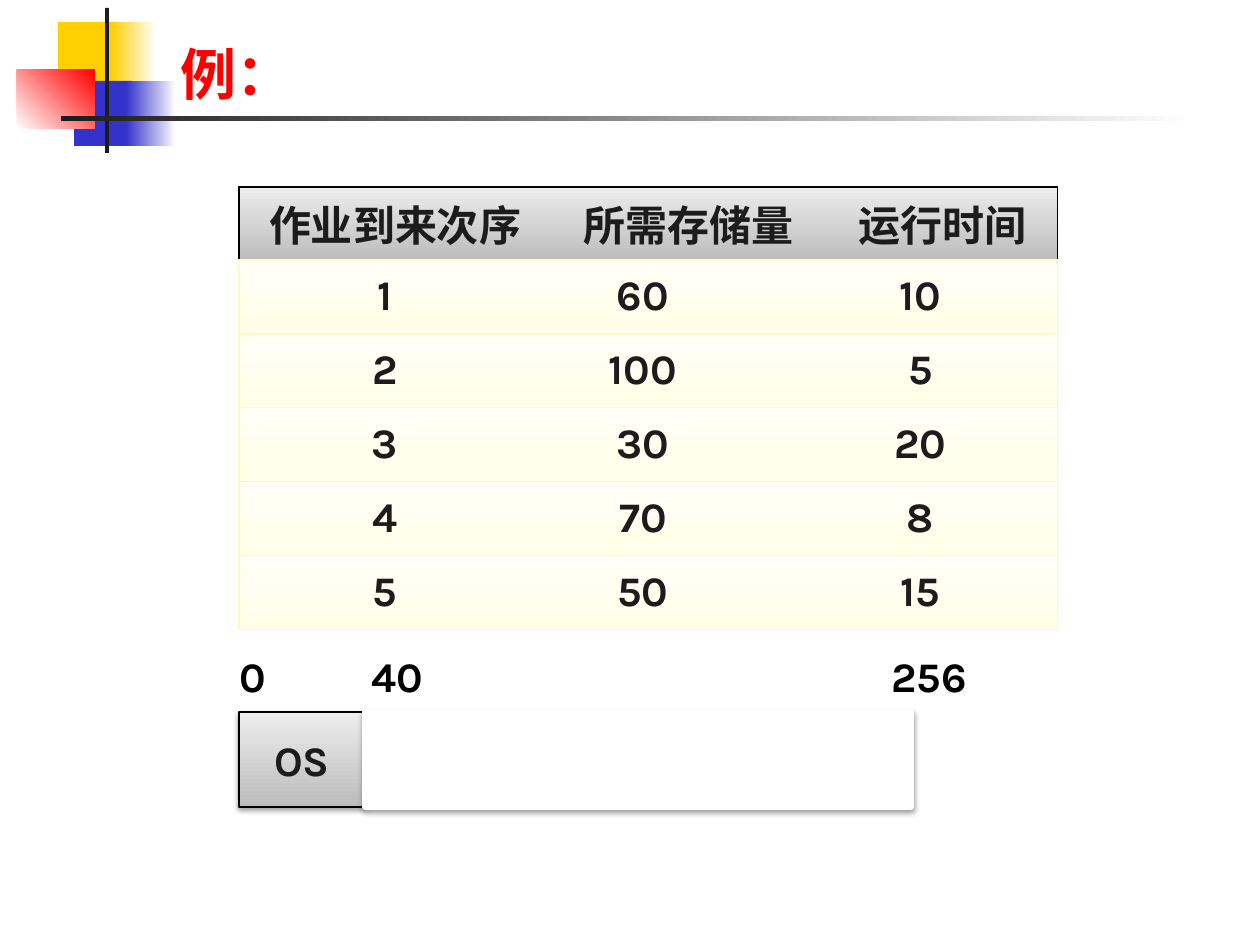
from lxml import etree
from pptx import Presentation
from pptx.dml.color import RGBColor
from pptx.enum.shapes import MSO_SHAPE
from pptx.enum.text import MSO_ANCHOR, PP_ALIGN
from pptx.oxml.ns import qn
from pptx.util import Emu, Pt

RECTANGLE = MSO_SHAPE.RECTANGLE
MIDDLE, TOP = MSO_ANCHOR.MIDDLE, MSO_ANCHOR.TOP
CENTER, LEFT = PP_ALIGN.CENTER, PP_ALIGN.LEFT
EMU_PER_PIXEL = 914400 / 126
LATIN_FONT, CHINESE_FONT = "Karla", "Noto Sans CJK SC"
COLORS = {
    "black": "000000", "white": "FFFFFF", "ink": "1C1C1C",
    "yellow": "FFCF01", "blue": "3333CC", "red": "FF0000",
    "gray dark": "BCBCBC", "gray light": "EDEDED",
    "cream dark": "FFFFE7", "cream light": "FFFFF8", "cream edge": "FBFBC6",
}
DECORATION = [
    ((58, 22, 60, 66), ("yellow",), 0),
    ((111, 22, 45, 66), ("yellow", "white"), 0),
    ((74, 81, 58, 65), ("blue",), 0),
    ((126, 81, 50, 65), ("blue", "white"), 0),
    ((17, 70, 78, 59), ("white", "red"), 45),
    ((105, 8, 4, 145), ("ink",), 0),
    ((61, 116, 1134, 5), ("ink", "white"), 0),
]
JOBS = [
    ("作业到来次序", "所需存储量", "运行时间"),
    (1, 60, 10),
    (2, 100, 5),
    (3, 30, 20),
    (4, 70, 8),
    (5, 50, 15),
]
COLUMN_WIDTHS = (312, 276, 231)
NUMBER_MARGINS = (20, 92, 44)
HEADER_HEIGHT, ROW_HEIGHT = 73, 74
ADDRESSES = [(0, 227), (40, 359), (256, 879)]


def px(length):
    """Turn pixels into EMU."""
    return Emu(round(length * EMU_PER_PIXEL))


def rgb(name):
    """Look up a colour by name."""
    return RGBColor.from_string(COLORS[name])


def paint(fill, names, angle=0):
    """Fill with one colour, or with a gradient between two."""
    if len(names) == 1:
        fill.solid()
        fill.fore_color.rgb = rgb(names[0])
        return
    fill.gradient()
    fill.gradient_angle = angle
    for stop, name in zip(fill.gradient_stops, names):
        stop.color.rgb = rgb(name)


def write(text_frame, text, color="ink", size=24, font_name=LATIN_FONT, alignment=CENTER):
    """Write one bold paragraph."""
    text_frame.text = str(text)
    paragraph = text_frame.paragraphs[0]
    paragraph.alignment = alignment
    font = paragraph.font
    font.size, font.bold, font.name = Pt(size), True, font_name
    font.color.rgb = rgb(color)
    defaults = paragraph._p.get_or_add_pPr().get_or_add_defRPr()
    etree.SubElement(defaults, qn("a:ea"), typeface=CHINESE_FONT)


def add_rectangle(slide, box, colors, angle=0, line=None, line_width=0.75):
    """Add a rectangle without shadow."""
    shape = slide.shapes.add_shape(RECTANGLE, *map(px, box))
    shape.shadow.inherit = False
    paint(shape.fill, colors, angle)
    if line:
        shape.line.color.rgb = rgb(line)
        shape.line.width = Pt(line_width)
    else:
        shape.line.fill.background()
    return shape


def add_shadow(shape):
    """Give a shape a soft shadow below it."""
    effects = shape._element.spPr.find(qn("a:effectLst"))
    shadow = etree.SubElement(
        effects, qn("a:outerShdw"), blurRad=str(Pt(3.1)), dist=str(Pt(1.6)),
        dir="5400000", rotWithShape="0")
    color = etree.SubElement(shadow, qn("a:srgbClr"), val=COLORS["black"])
    etree.SubElement(color, qn("a:alpha"), val="38000")


def set_borders(cell, left, right, top, bottom):
    """Draw the four cell borders, where None means no line."""
    properties = cell._tc.get_or_add_tcPr()
    for side, name in zip("LRTB", (left, right, top, bottom)):
        border = etree.SubElement(properties, qn(f"a:ln{side}"), w=str(Pt(0.75)))
        if name:
            fill = etree.SubElement(border, qn("a:solidFill"))
            etree.SubElement(fill, qn("a:srgbClr"), val=COLORS[name])
        else:
            etree.SubElement(border, qn("a:noFill"))


def add_job_table(slide, left, top):
    """Add the table of jobs with their memory and run time."""
    heights = [HEADER_HEIGHT] + [ROW_HEIGHT] * (len(JOBS) - 1)
    box = (left, top, sum(COLUMN_WIDTHS), sum(heights))
    table = slide.shapes.add_table(len(JOBS), len(COLUMN_WIDTHS), *map(px, box)).table
    table.first_row = table.horz_banding = False
    for column, width in zip(table.columns, COLUMN_WIDTHS):
        column.width = px(width)
    last = len(COLUMN_WIDTHS) - 1
    for row_index, (job, height) in enumerate(zip(JOBS, heights)):
        table.rows[row_index].height = px(height)
        is_header = row_index == 0
        edge = "black" if is_header else "cream edge"
        tone = "gray" if is_header else "cream"
        for column_index, value in enumerate(job):
            cell = table.cell(row_index, column_index)
            cell.margin_left = cell.margin_top = cell.margin_bottom = 0
            cell.margin_right = 0 if is_header else px(NUMBER_MARGINS[column_index])
            cell.vertical_anchor = MIDDLE
            set_borders(cell, edge if column_index == 0 else None,
                        edge if column_index == last else None, edge, "cream edge")
            paint(cell.fill, (f"{tone} dark", f"{tone} light"), 90)
            write(cell.text_frame, value)


def add_address(slide, text, left):
    """Add a memory address label."""
    label = slide.shapes.add_textbox(px(left), px(644), px(110), px(63))
    label.text_frame.word_wrap = True
    write(label.text_frame, text, "black", alignment=LEFT)


def add_memory(slide):
    """Add the memory bar with the system area and the free area."""
    system = add_rectangle(slide, (239, 712, 126, 95), ("gray dark", "gray light"), 90, "black")
    add_shadow(system)
    system.text_frame.vertical_anchor = MIDDLE
    write(system.text_frame, "OS")
    free = add_rectangle(slide, (365, 712, 546, 95), ("white",), line="white", line_width=3)
    add_shadow(free)


def set_title(slide, text):
    """Place and format the title."""
    title = slide.shapes.title
    title.left, title.top, title.width, title.height = map(px, (168, 33, 1092, 79))
    title.text_frame.vertical_anchor = TOP
    write(title.text_frame, text, "red", 32, CHINESE_FONT, LEFT)


def main():
    """Build the slide."""
    presentation = Presentation()
    presentation.slide_width, presentation.slide_height = px(1260), px(945)
    slide = presentation.slides.add_slide(presentation.slide_layouts[5])
    for box, colors, angle in DECORATION:
        add_rectangle(slide, box, colors, angle)
    set_title(slide, "例：")
    add_job_table(slide, 239, 187)
    for text, left in ADDRESSES:
        add_address(slide, text, left)
    add_memory(slide)
    presentation.save("out.pptx")


if __name__ == "__main__":
    main()
